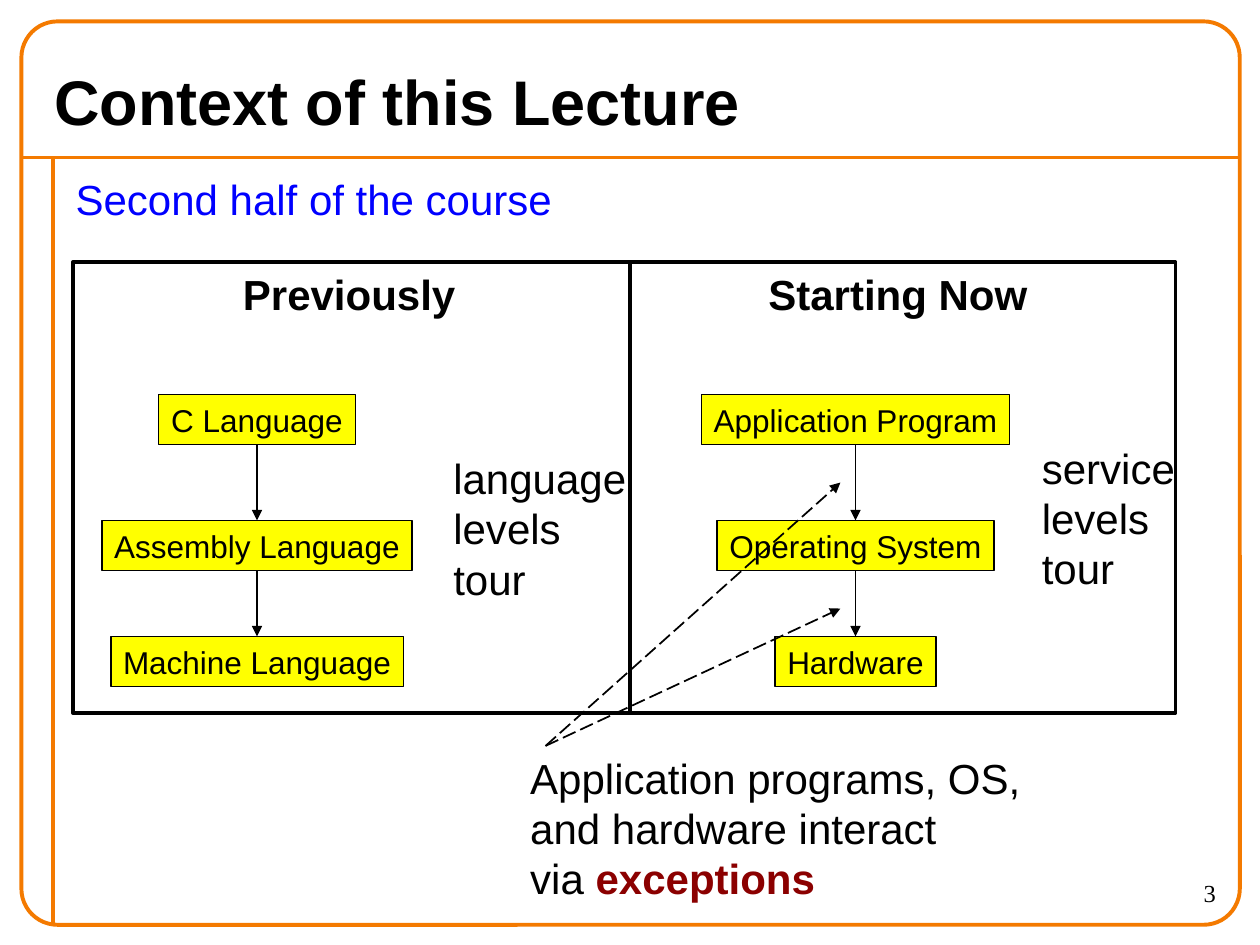
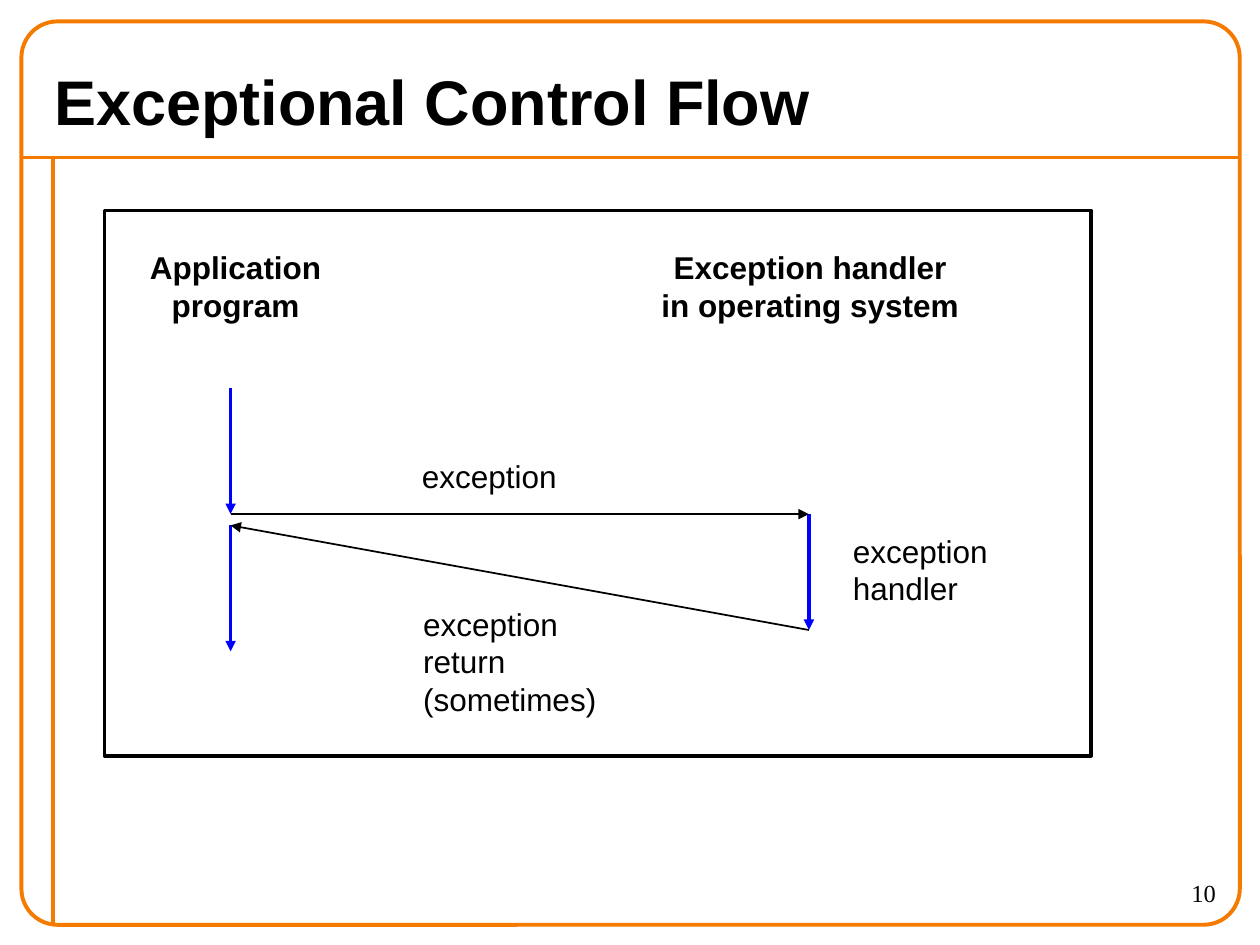
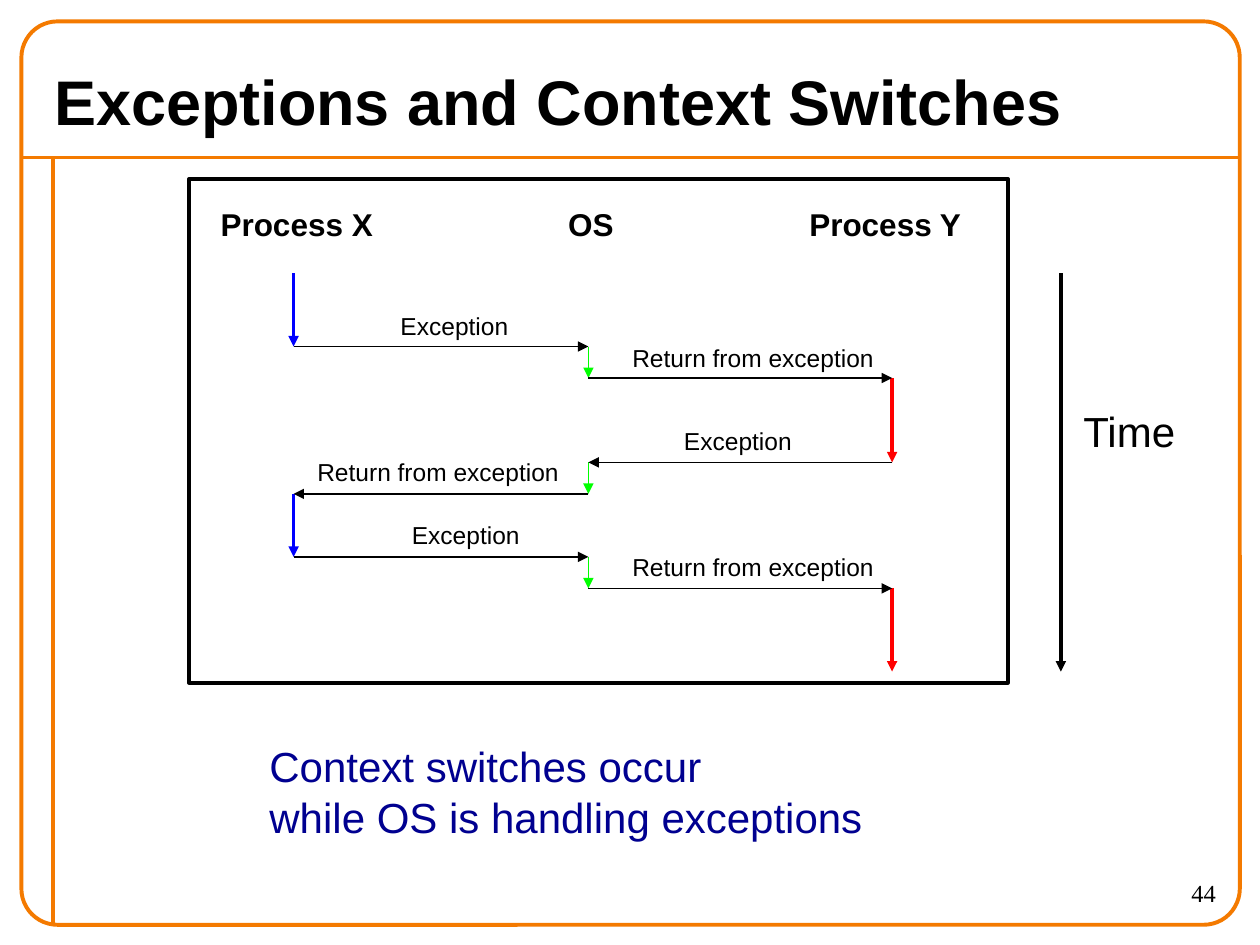
from itertools import pairwise

from pptx import Presentation
from pptx import util as u
from pptx.dml import color as dml
from pptx.enum import dml as lines
from pptx.enum import shapes, text
from pptx.oxml import ns, xmlchemy

COLORS = {
    "frame": "F47A00",
    "black": "000000",
    "blue": "0000FF",
    "navy": "000090",
    "dark_red": "8B0000",
    "yellow": "FFFF00",
    "green": "00FF00",
    "red": "FF0000",
}
TITLE_ONLY = 5
TITLE_AND_BODY = 1
ALIGN = text.PP_ALIGN


def rgb(name):
    return dml.RGBColor.from_string(COLORS[name])


def write(frame, content, size=24, color="black", bold=False, font="Arial",
          align=ALIGN.LEFT, anchor=text.MSO_ANCHOR.TOP, wrap=False, strong=None):
    frame.word_wrap = wrap
    frame.auto_size = text.MSO_AUTO_SIZE.NONE
    frame.vertical_anchor = anchor
    for index, line in enumerate(content.split("\n")):
        paragraph = frame.paragraphs[0] if index == 0 else frame.add_paragraph()
        paragraph.alignment = align
        paragraph.space_before = u.Pt(0)
        before, found, after = line.partition(strong) if strong else (line, "", "")
        for part in filter(None, (before, found, after)):
            run = paragraph.add_run()
            run.text = part
            run.font.name = font
            run.font.size = u.Pt(size)
            run.font.bold = bold or part == strong
            run.font.color.rgb = rgb("dark_red" if part == strong else color)


class Deck:
    def __init__(self):
        self.presentation = Presentation()
        self.presentation.slide_width = u.Inches(10)
        self.presentation.slide_height = u.Inches(7.5)
        self.slide = None

    def add_slide(self, title, number, layout=TITLE_ONLY):
        self.slide = self.presentation.slides.add_slide(
            self.presentation.slide_layouts[layout])
        self.line((0.17, 1.25), (9.83, 1.25), "frame", 2.25, arrow=False)
        self.line((0.42, 1.25), (0.42, 7.33), "frame", 2.25, arrow=False)
        border = self.box(0.17, 0.17, 9.67, 7.17, line="frame", weight=2.25,
                          kind=shapes.MSO_SHAPE.ROUNDED_RECTANGLE)
        border.adjustments[0] = 0.04
        heading = self.slide.shapes.title
        self.place(heading, 0.33, 0.42, 9.33, 0.75)
        write(heading.text_frame, title, size=36, bold=True,
              anchor=text.MSO_ANCHOR.MIDDLE, wrap=True)
        self.label(number, 8.75, 6.92, 1, 0.42, size=14, font="Times New Roman",
                   align=ALIGN.RIGHT, wrap=True)

    def place(self, shape, left, top, width, height):
        shape.left, shape.top = u.Inches(left), u.Inches(top)
        shape.width, shape.height = u.Inches(width), u.Inches(height)

    def body(self, content, left, top, width, height, **style):
        shape = self.slide.placeholders[1]
        self.place(shape, left, top, width, height)
        write(shape.text_frame, content, wrap=True, **style)
        for paragraph in shape.text_frame.paragraphs:
            properties = paragraph._p.get_or_add_pPr()
            properties.set("marL", str(u.Inches(0.24)))
            properties.set("indent", str(u.Inches(-0.24)))
            properties.append(xmlchemy.OxmlElement("a:buNone"))

    def label(self, content, left, top, width, height, **style):
        shape = self.slide.shapes.add_textbox(
            *map(u.Inches, (left, top, width, height)))
        write(shape.text_frame, content, **style)

    def box(self, left, top, width, height, fill=None, line="black", weight=2,
            kind=shapes.MSO_SHAPE.RECTANGLE):
        shape = self.slide.shapes.add_shape(
            kind, *map(u.Inches, (left, top, width, height)))
        shape.shadow.inherit = False
        if fill:
            shape.fill.solid()
            shape.fill.fore_color.rgb = rgb(fill)
        else:
            shape.fill.background()
        shape.line.color.rgb = rgb(line)
        shape.line.width = u.Pt(weight)
        return shape

    def line(self, start, end, color="black", weight=1, arrow=True, dashed=False):
        connector = self.slide.shapes.add_connector(
            shapes.MSO_CONNECTOR.STRAIGHT, *map(u.Inches, (*start, *end)))
        connector.line.color.rgb = rgb(color)
        connector.line.width = u.Pt(weight)
        if dashed:
            connector.line.dash_style = lines.MSO_LINE.LONG_DASH
        properties = connector.element.spPr
        if arrow:
            head = xmlchemy.OxmlElement("a:tailEnd")
            head.set("type", "triangle")
            properties.find(ns.qn("a:ln")).append(head)
        properties.append(xmlchemy.OxmlElement("a:effectLst"))

    def level_stack(self, center, levels):
        tops, height = (3.13, 4.13, 5.05), 0.4
        for top, (name, width) in zip(tops, levels):
            shape = self.box(center - width / 2, top, width, height, "yellow", weight=0.75)
            write(shape.text_frame, name, size=18, align=ALIGN.CENTER,
                  anchor=text.MSO_ANCHOR.MIDDLE)
        for upper, lower in pairwise(tops):
            self.line((center, upper + height), (center, lower))


def context_slide(deck):
    deck.add_slide("Context of this Lecture", "3", TITLE_AND_BODY)
    deck.body("Second half of the course", 0.5, 1.33, 9.25, 6, color="blue")
    deck.label("Previously", 1.83, 2.08, 1.88, 0.5, bold=True)
    deck.label("Starting Now", 6, 2.08, 2.25, 0.5, bold=True)
    deck.level_stack(2.04, [("C Language", 1.56), ("Assembly Language", 2.46),
                            ("Machine Language", 2.32)])
    deck.level_stack(6.79, [("Application Program", 2.45), ("Operating System", 2.2),
                            ("Hardware", 1.28)])
    deck.label("language\nlevels\ntour", 3.5, 3.54, 1.57, 1.3)
    deck.label("service\nlevels\ntour", 8.17, 3.46, 1.25, 1.3)
    deck.label("Application programs, OS,\nand hardware interact\nvia exceptions",
               4.11, 5.92, 4.09, 1.3, strong="exceptions")
    for interaction_y in (3.83, 4.83):
        deck.line((4.33, 5.92), (6.67, interaction_y), dashed=True)
    deck.box(0.58, 2.08, 8.75, 3.58)
    deck.line((5, 2.08), (5, 5.67), weight=2, arrow=False)


def control_flow_slide(deck):
    deck.add_slide("Exceptional Control Flow", "10")
    program_x, handler_x = 1.83, 6.42
    raised_y, resumed_y, handled_y = 4.08, 4.17, 5
    heading = {"size": 18, "bold": True, "align": ALIGN.CENTER}
    deck.label("Application\nprogram", 1.09, 1.92, 1.56, 0.7, **heading)
    deck.label("Exception handler\nin operating system", 5.15, 1.92, 2.56, 0.7, **heading)
    for x, start, end in ((program_x, 3.08, raised_y), (handler_x, raised_y, handled_y),
                          (program_x, resumed_y, 5.17)):
        deck.line((x, start), (x, end), "blue", 2)
    deck.line((program_x, raised_y), (handler_x, raised_y))
    deck.line((handler_x, handled_y), (program_x, resumed_y))
    deck.label("exception", 3.25, 3.58, 1.27, 0.4, size=18)
    deck.label("exception\nhandler", 6.67, 4.17, 1.27, 0.7, size=18)
    deck.label("exception\nreturn\n(sometimes)", 3.26, 4.75, 1.57, 1, size=18)
    deck.box(0.83, 1.67, 7.83, 4.33)


def context_switch_slide(deck):
    deck.add_slide("Exceptions and Context Switches", "44")
    for name, left, width in (("Process X", 1.65, 1.41), ("OS", 4.41, 0.56),
                              ("Process Y", 6.32, 1.41)):
        deck.label(name, left, 1.58, width, 0.4, size=18, bold=True, align=ALIGN.CENTER)
    deck.box(1.5, 1.42, 6.5, 4)

    process_x, system, process_y = 2.33, 4.67, 7.08
    lane_styles = {process_x: ("blue", 2), system: ("green", 1), process_y: ("red", 2)}
    running = [(process_x, 2.17, 2.75), (system, 2.75, 3), (process_y, 3, 3.67),
               (system, 3.67, 3.92), (process_x, 3.92, 4.42), (system, 4.42, 4.67),
               (process_y, 4.67, 5.33)]
    for x, start, end in running:
        deck.line((x, start), (x, end), *lane_styles[x])
    for (x, _, switch_y), (next_x, _, _) in pairwise(running):
        deck.line((x, switch_y), (next_x, switch_y))

    for left, top in ((3.08, 2.42), (5.33, 3.33), (3.17, 4.08)):
        deck.label("Exception", left, top, 1.08, 0.34, size=14, wrap=True)
    for left, top in ((4.92, 2.67), (2.42, 3.58), (4.92, 4.33)):
        deck.label("Return from exception", left, top, 2.17, 0.34, size=14, wrap=True)
    deck.line((8.42, 2.17), (8.42, 5.33), weight=2)
    deck.label("Time", 8.5, 3.17, 0.94, 0.5)
    deck.label("Context switches occur\nwhile OS is handling exceptions",
               2.04, 5.83, 4.9, 0.9, color="navy")


def main():
    deck = Deck()
    context_slide(deck)
    control_flow_slide(deck)
    context_switch_slide(deck)
    deck.presentation.save("out.pptx")


if __name__ == "__main__":
    main()
